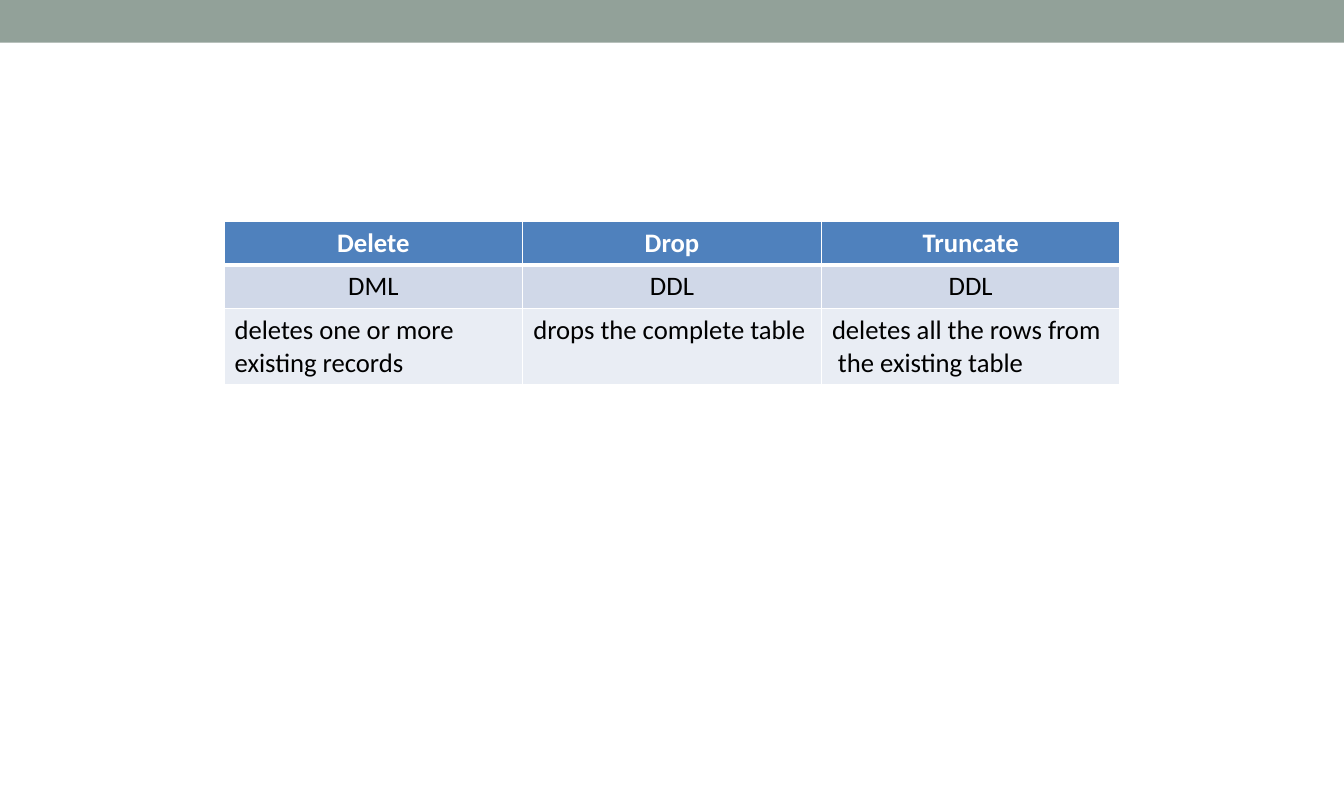
from lxml.etree import SubElement
from pptx import Presentation
from pptx.dml.color import RGBColor
from pptx.enum.shapes import MSO_SHAPE
from pptx.enum.text import PP_ALIGN
from pptx.oxml.ns import qn
from pptx.util import Inches, Pt

COLORS = {
    "band": "92A199",
    "header": "4F81BD",
    "type": "D0D8E8",
    "effect": "E9EDF4",
    "border": "FFFFFF",
    "header_text": "FFFFFF",
    "body_text": "000000",
}

COMMANDS = [
    ("header", 0.4, ["Delete", "Drop", "Truncate"]),
    ("type", 0.41, ["DML", "DDL", "DDL"]),
    ("effect", 0.7, [
        "deletes one or more existing records",
        "drops the complete table",
        "deletes all the rows from\n the existing table",
    ]),
]
COLUMN_WIDTH = 2.8


def rgb(name):
    return RGBColor.from_string(COLORS[name])


def write_text(frame, text, color="body_text", bold=False, align=PP_ALIGN.LEFT):
    frame.text = text
    for paragraph in frame.paragraphs:
        paragraph.alignment = align
        font = paragraph.runs[0].font
        font.name = "Calibri"
        font.size = Pt(18)
        font.bold = bold
        font.color.rgb = rgb(color)


def add_band(slide, width, height):
    band = slide.shapes.add_shape(MSO_SHAPE.RECTANGLE, 0, 0, width, height)
    band.shadow.inherit = False
    band.fill.solid()
    band.fill.fore_color.rgb = rgb("band")
    band.line.fill.background()


def set_borders(cell, top=1, bottom=1):
    properties = cell._tc.get_or_add_tcPr()
    for side, width in (("L", 1), ("R", 1), ("T", top), ("B", bottom)):
        border = SubElement(properties, qn(f"a:ln{side}"), w=str(Pt(width)))
        fill = SubElement(border, qn("a:solidFill"))
        SubElement(fill, qn("a:srgbClr"), val=COLORS["border"])


def add_command_table(slide, left, top):
    column_count = len(COMMANDS[0][2])
    total_height = sum(height for _, height, _ in COMMANDS)
    table = slide.shapes.add_table(
        len(COMMANDS), column_count, left, top,
        Inches(COLUMN_WIDTH * column_count), Inches(total_height),
    ).table
    for column in table.columns:
        column.width = Inches(COLUMN_WIDTH)
    for row_index, (kind, height, texts) in enumerate(COMMANDS):
        table.rows[row_index].height = Inches(height)
        is_header = kind == "header"
        for column_index, text in enumerate(texts):
            cell = table.cell(row_index, column_index)
            set_borders(
                cell,
                top=3 if kind == "type" else 1,
                bottom=3 if is_header else 1,
            )
            cell.fill.solid()
            cell.fill.fore_color.rgb = rgb(kind)
            write_text(
                cell.text_frame, text,
                color="header_text" if is_header else "body_text",
                bold=is_header,
                align=PP_ALIGN.LEFT if kind == "effect" else PP_ALIGN.CENTER,
            )


def main():
    deck = Presentation()
    deck.slide_width = Inches(12.6)
    deck.slide_height = Inches(7.5)
    slide = deck.slides.add_slide(deck.slide_layouts[6])
    add_band(slide, deck.slide_width, Inches(0.4))
    add_command_table(slide, Inches(2.1), Inches(2.08))
    deck.save("out.pptx")


if __name__ == "__main__":
    main()
